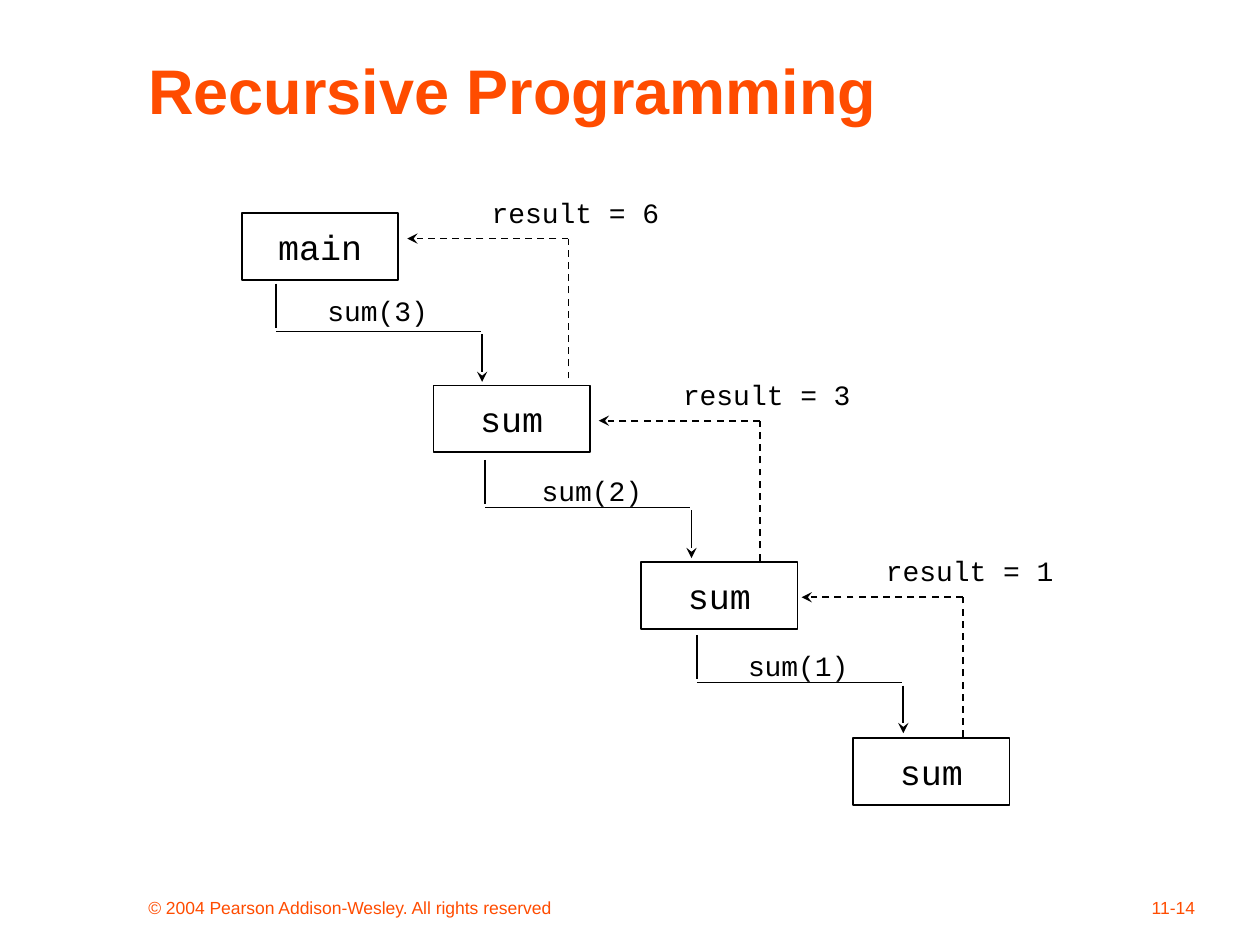
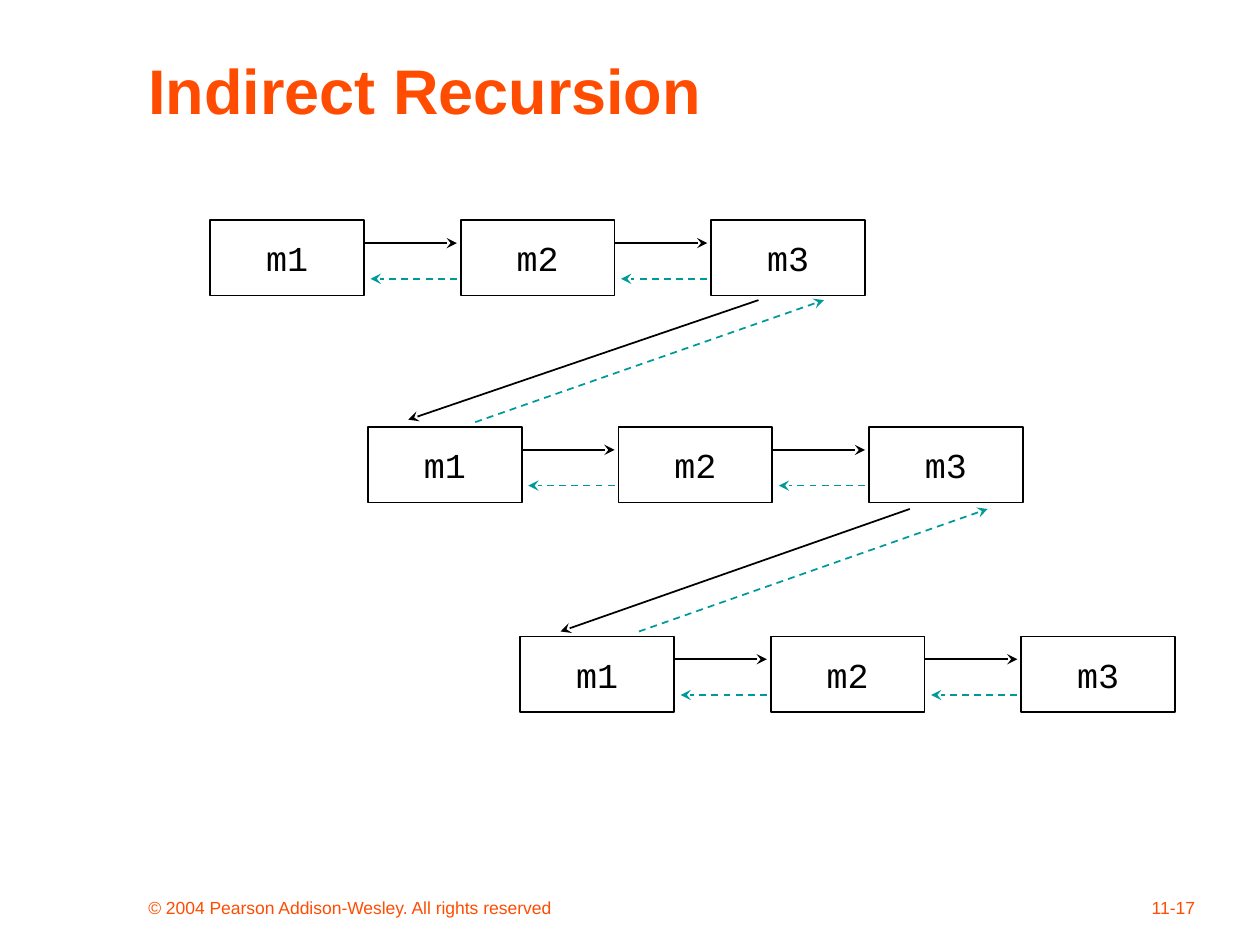
from dataclasses import dataclass

from lxml import etree
from pptx import Presentation
from pptx.dml.color import RGBColor
from pptx.enum.dml import MSO_LINE
from pptx.enum.shapes import MSO_CONNECTOR, MSO_SHAPE
from pptx.enum.text import MSO_ANCHOR, PP_ALIGN
from pptx.oxml.ns import qn
from pptx.util import Cm, Pt

RECTANGLE = MSO_SHAPE.RECTANGLE
STRAIGHT = MSO_CONNECTOR.STRAIGHT
DASH = MSO_LINE.DASH
TOP, MIDDLE, BOTTOM = MSO_ANCHOR.TOP, MSO_ANCHOR.MIDDLE, MSO_ANCHOR.BOTTOM
LEFT, CENTER, RIGHT = PP_ALIGN.LEFT, PP_ALIGN.CENTER, PP_ALIGN.RIGHT


@dataclass(frozen=True)
class Theme:
    accent = RGBColor(0xFF, 0x4C, 0x00)
    ink = RGBColor(0x00, 0x00, 0x00)
    returning = RGBColor(0x00, 0x99, 0x99)
    line_width = Pt(1)
    title = {"name": "Arial", "size": Pt(36), "bold": True}
    footer = {"name": "Arial", "size": Pt(10)}
    box = {"name": "Courier New", "size": Pt(20)}
    label = {"name": "Courier New", "size": Pt(16)}


THEME = Theme()

# All positions and sizes below are in centimetres.
COPYRIGHT = "© 2004 Pearson Addison-Wesley. All rights reserved"

CALL_BOX_SIZE = (3.15, 1.35)
CALL_BOXES = [
    ("main", (4.88, 4.29)),
    ("sum", (8.74, 7.77)),
    ("sum", (12.93, 11.33)),
    ("sum", (17.2, 14.88)),
]
# Call text, its place, and where its path starts
CALLS = [
    ("sum(3)", (6.35, 5.79), (5.56, 5.72)),
    ("sum(2)", (10.67, 9.42), (9.78, 9.27)),
    ("sum(1)", (14.83, 12.95), (14.05, 12.8)),
]
# Result text and the corner of its return path
RESULTS = [
    ("result = 6", (11.46, 4.81)),
    ("result = 3", (15.32, 8.48)),
    ("result = 1", (19.41, 12.04)),
]

METHODS = ["m1", "m2", "m3"]
METHOD_BOX_SIZE = (3.1, 1.52)
METHOD_PITCH = 5.05
METHOD_ROWS = [(4.24, 4.44), (7.42, 8.61), (10.49, 12.83)]
ROW_CALLS = [((15.29, 6.05), (8.23, 8.46)), ((18.34, 10.26), (11.3, 12.73))]
ROW_RETURNS = [((9.58, 8.51), (16.61, 6.05)), ((12.88, 12.73), (19.91, 10.26))]


def apply_format(target, values):
    for name, value in values.items():
        setattr(target, name, value)


def shift(point, right, down):
    return point[0] + right, point[1] + down


def write(shape, text, font, color, anchor=TOP, alignment=LEFT, wrap=False):
    frame = shape.text_frame
    apply_format(frame, {"word_wrap": wrap, "vertical_anchor": anchor})
    paragraph = frame.paragraphs[0]
    paragraph.text = text
    paragraph.alignment = alignment
    apply_format(paragraph.font, font)
    paragraph.font.color.rgb = color


def add_text(slide, text, position, size, font, color=THEME.ink, **layout):
    shape = slide.shapes.add_textbox(*map(Cm, position + size))
    write(shape, text, font, color, **layout)


def add_box(slide, text, position, size):
    shape = slide.shapes.add_shape(RECTANGLE, *map(Cm, position + size))
    shape.shadow.inherit = False
    shape.fill.background()
    shape.line.color.rgb = THEME.ink
    shape.line.width = THEME.line_width
    write(shape, text, THEME.box, THEME.ink, MIDDLE, CENTER)


def add_line(slide, start, end, color=THEME.ink, dashed=False, arrow=True):
    connector = slide.shapes.add_connector(STRAIGHT, *map(Cm, start + end))
    connector.line.color.rgb = color
    connector.line.width = THEME.line_width
    if dashed:
        connector.line.dash_style = DASH
    properties = connector.element.spPr
    if arrow:
        outline = properties.find(qn("a:ln"))
        etree.SubElement(outline, qn("a:tailEnd"), type="stealth")
    etree.SubElement(properties, qn("a:effectLst"))


def add_slide(presentation, title, number):
    """Add a blank slide with the shared title and footers."""
    slide = presentation.slides.add_slide(presentation.slide_layouts[6])
    for text, position, size, font, anchor, alignment in [
        (COPYRIGHT, (2.74, 17.58), (9.73, 1.06), THEME.footer, BOTTOM, LEFT),
        (number, (19.05, 17.58), (5.29, 1.06), THEME.footer, BOTTOM, RIGHT),
        (title, (2.74, 0.85), (22.01, 1.9), THEME.title, MIDDLE, LEFT),
    ]:
        add_text(slide, text, position, size, font, THEME.accent,
                 anchor=anchor, alignment=alignment, wrap=True)
    return slide


def build_call_chain(slide):
    for name, position in CALL_BOXES:
        add_box(slide, name, position, CALL_BOX_SIZE)
    for text, position, start in CALLS:
        add_line(slide, start, shift(start, 0, 0.89), arrow=False)
        add_line(slide, shift(start, 0, 0.96), shift(start, 4.14, 0.96), arrow=False)
        add_line(slide, shift(start, 4.16, 1.02), shift(start, 4.16, 1.98))
        add_text(slide, text, position, (2.54, 0.94), THEME.label)
    for text, corner in RESULTS:
        add_line(slide, shift(corner, 0, 2.82), corner, dashed=True, arrow=False)
        add_line(slide, corner, shift(corner, -3.25, 0), dashed=True)
        add_text(slide, text, shift(corner, -1.8, -1), (3.89, 0.94), THEME.label)


def build_method_rows(slide):
    calls, returns = list(ROW_CALLS), list(ROW_RETURNS)
    for row in METHOD_ROWS:
        for column, method in enumerate(METHODS):
            position = shift(row, column * METHOD_PITCH, 0)
            add_box(slide, method, position, METHOD_BOX_SIZE)
            if column < len(METHODS) - 1:
                edge = shift(position, METHOD_BOX_SIZE[0], 0)
                calls.append((shift(edge, 0, 0.46), shift(edge, 1.87, 0.46)))
                returns.append((shift(edge, 1.87, 1.18), shift(edge, 0.13, 1.18)))
    for start, end in calls:
        add_line(slide, start, end)
    for start, end in returns:
        add_line(slide, start, end, THEME.returning, dashed=True)


def main():
    presentation = Presentation()
    presentation.slide_width = Cm(25.4)
    presentation.slide_height = Cm(19.05)
    build_call_chain(add_slide(presentation, "Recursive Programming", "11-14"))
    build_method_rows(add_slide(presentation, "Indirect Recursion", "11-17"))
    presentation.save("out.pptx")


if __name__ == "__main__":
    main()
